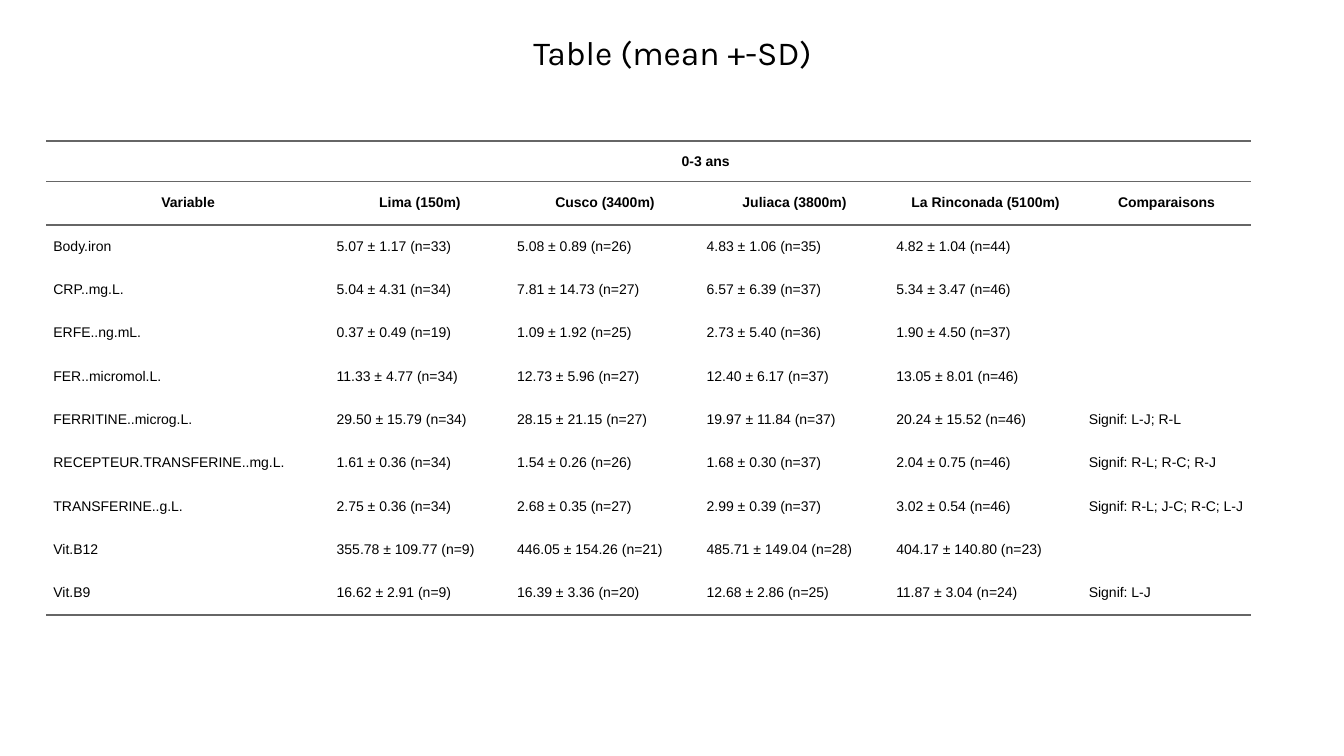
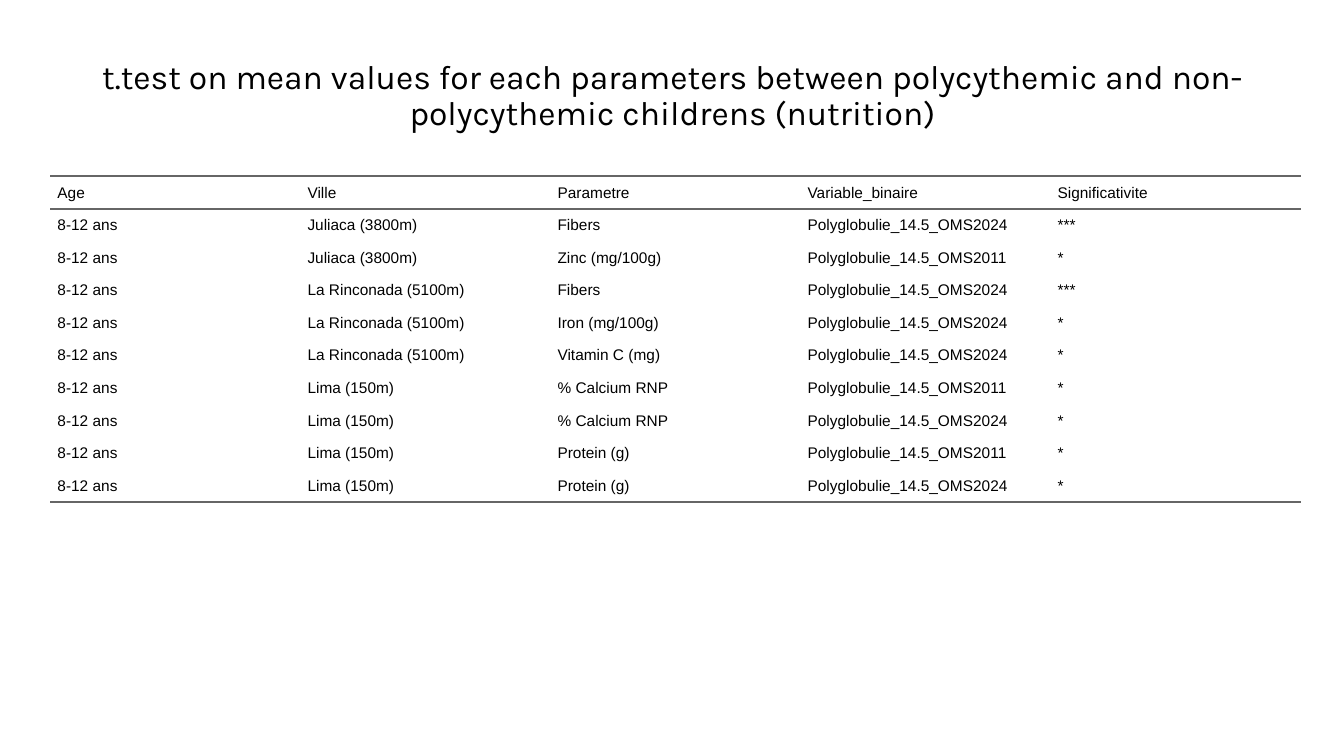
from pptx import Presentation
from pptx.dml.color import RGBColor
from pptx.enum.text import MSO_ANCHOR, PP_ALIGN
from pptx.oxml import parse_xml
from pptx.oxml.ns import nsdecls
from pptx.util import Inches, Pt

BLACK = RGBColor(0x00, 0x00, 0x00)
RULE_GREY = RGBColor(0x66, 0x66, 0x66)
MIDDLE = MSO_ANCHOR.MIDDLE
CENTER = PP_ALIGN.CENTER
LEFT = PP_ALIGN.LEFT
RULE_WIDTH = Pt(1.5)
PAD = Inches(0.07)
TITLE_FONT = {"name": "Karla", "size": Pt(24)}
CELL_FORMAT = {"margin_left": 0, "margin_right": 0, "margin_top": PAD,
               "margin_bottom": PAD, "vertical_anchor": MIDDLE}

MEAN_ROWS = [
    ("", "0-3 ans", "", "", "", ""),
    ("Variable", "Lima (150m)", "Cusco (3400m)", "Juliaca (3800m)",
     "La Rinconada (5100m)", "Comparaisons"),
    ("Body.iron", "5.07 ± 1.17 (n=33)", "5.08 ± 0.89 (n=26)",
     "4.83 ± 1.06 (n=35)", "4.82 ± 1.04 (n=44)", ""),
    ("CRP..mg.L.", "5.04 ± 4.31 (n=34)", "7.81 ± 14.73 (n=27)",
     "6.57 ± 6.39 (n=37)", "5.34 ± 3.47 (n=46)", ""),
    ("ERFE..ng.mL.", "0.37 ± 0.49 (n=19)", "1.09 ± 1.92 (n=25)",
     "2.73 ± 5.40 (n=36)", "1.90 ± 4.50 (n=37)", ""),
    ("FER..micromol.L.", "11.33 ± 4.77 (n=34)", "12.73 ± 5.96 (n=27)",
     "12.40 ± 6.17 (n=37)", "13.05 ± 8.01 (n=46)", ""),
    ("FERRITINE..microg.L.", "29.50 ± 15.79 (n=34)", "28.15 ± 21.15 (n=27)",
     "19.97 ± 11.84 (n=37)", "20.24 ± 15.52 (n=46)", "Signif: L-J; R-L"),
    ("RECEPTEUR.TRANSFERINE..mg.L.", "1.61 ± 0.36 (n=34)", "1.54 ± 0.26 (n=26)",
     "1.68 ± 0.30 (n=37)", "2.04 ± 0.75 (n=46)", "Signif: R-L; R-C; R-J"),
    ("TRANSFERINE..g.L.", "2.75 ± 0.36 (n=34)", "2.68 ± 0.35 (n=27)",
     "2.99 ± 0.39 (n=37)", "3.02 ± 0.54 (n=46)", "Signif: R-L; J-C; R-C; L-J"),
    ("Vit.B12", "355.78 ± 109.77 (n=9)", "446.05 ± 154.26 (n=21)",
     "485.71 ± 149.04 (n=28)", "404.17 ± 140.80 (n=23)", ""),
    ("Vit.B9", "16.62 ± 2.91 (n=9)", "16.39 ± 3.36 (n=20)",
     "12.68 ± 2.86 (n=25)", "11.87 ± 3.04 (n=24)", "Signif: L-J"),
]

T_TESTS = [
    ("Juliaca (3800m)", "Fibers", 2024, "***"),
    ("Juliaca (3800m)", "Zinc (mg/100g)", 2011, "*"),
    ("La Rinconada (5100m)", "Fibers", 2024, "***"),
    ("La Rinconada (5100m)", "Iron (mg/100g)", 2024, "*"),
    ("La Rinconada (5100m)", "Vitamin C (mg)", 2024, "*"),
    ("Lima (150m)", "% Calcium RNP", 2011, "*"),
    ("Lima (150m)", "% Calcium RNP", 2024, "*"),
    ("Lima (150m)", "Protein (g)", 2011, "*"),
    ("Lima (150m)", "Protein (g)", 2024, "*"),
]
TEST_ROWS = [("Age", "Ville", "Parametre", "Variable_binaire", "Significativite")] + [
    ("8-12 ans", city, parameter, f"Polyglobulie_14.5_OMS{year}", stars)
    for city, parameter, year, stars in T_TESTS
]

SLIDES = [
    {"title": "Table (mean +-SD)", "title_top": -0.18,
     "left": 0.46, "top": 1.4, "rows": MEAN_ROWS,
     "widths": [2.81, 1.79, 1.88, 1.88, 1.91, 1.68],
     "heights": [0.4] + [0.43] * 10,
     "size": 10, "bold_rows": 2, "rules": {0, 1, 2, 11},
     "spans": [((0, 1), (0, 4))]},
    {"title": "t.test on mean values for each parameters between polycythemic "
              "and non-polycythemic childrens (nutrition)", "title_top": 0.23,
     "left": 0.5, "top": 1.75, "rows": TEST_ROWS,
     "widths": [2.48] * 5, "heights": [0.25] * 10,
     "size": 11, "bold_rows": 0, "rules": {0, 1, 10}, "spans": []},
]


def set_format(target, values):
    for name, value in values.items():
        setattr(target, name, value)


def add_run(p, text, font):
    r = p.add_run()
    r.text = text
    set_format(r.font, font)
    r.font.color.rgb = BLACK


def add_title(s, text, top):
    box = s.shapes.add_textbox(Inches(0.46), Inches(top), Inches(12.42), Inches(1.45))
    tf = box.text_frame
    set_format(tf, {"word_wrap": True, "vertical_anchor": MIDDLE})
    p = tf.paragraphs[0]
    set_format(p, {"alignment": CENTER, "line_spacing": 0.9})
    add_run(p, text, TITLE_FONT)


def set_borders(cell, ruled):
    tcPr = cell._tc.get_or_add_tcPr()
    for i, side in enumerate("LRTB"):
        if side in ruled:
            fill = f'<a:solidFill><a:srgbClr val="{RULE_GREY}"/></a:solidFill>'
        else:
            fill = "<a:noFill/>"
        tcPr.insert(i, parse_xml(
            f'<a:ln{side} {nsdecls("a")} w="{RULE_WIDTH}">{fill}</a:ln{side}>'))


def fill_cell(cell, text, size, bold):
    set_format(cell, CELL_FORMAT)
    p = cell.text_frame.paragraphs[0]
    set_format(p, {"alignment": CENTER if bold else LEFT,
                   "space_before": Pt(5), "space_after": Pt(5)})
    pPr = p._p.get_or_add_pPr()
    for name, value in {"marL": PAD, "marR": PAD, "indent": 0}.items():
        pPr.set(name, str(value))
    add_run(p, text, {"name": "Arial", "size": Pt(size), "bold": bold})


def add_data_table(s, data):
    rows, widths, heights = data["rows"], data["widths"], data["heights"]
    table = s.shapes.add_table(
        len(rows), len(widths), Inches(data["left"]), Inches(data["top"]),
        Inches(sum(widths)), Inches(sum(heights))).table
    set_format(table, {"first_row": False, "horz_banding": False})
    for column, width in zip(table.columns, widths):
        column.width = Inches(width)
    for row, height in zip(table.rows, heights):
        row.height = Inches(height)
    for first, last in data["spans"]:
        table.cell(*first).merge(table.cell(*last))
    for i, row in enumerate(rows):
        ruled = [side for side, edge in (("T", i), ("B", i + 1)) if edge in data["rules"]]
        for j, text in enumerate(row):
            cell = table.cell(i, j)
            cell.fill.background()
            set_borders(cell, ruled)
            if text:
                fill_cell(cell, text, data["size"], i < data["bold_rows"])


def main():
    prs = Presentation()
    set_format(prs, {"slide_width": Inches(13.33), "slide_height": Inches(7.5)})
    for data in SLIDES:
        s = prs.slides.add_slide(prs.slide_layouts[6])
        add_title(s, data["title"], data["title_top"])
        add_data_table(s, data)
    prs.save("out.pptx")


if __name__ == "__main__":
    main()
